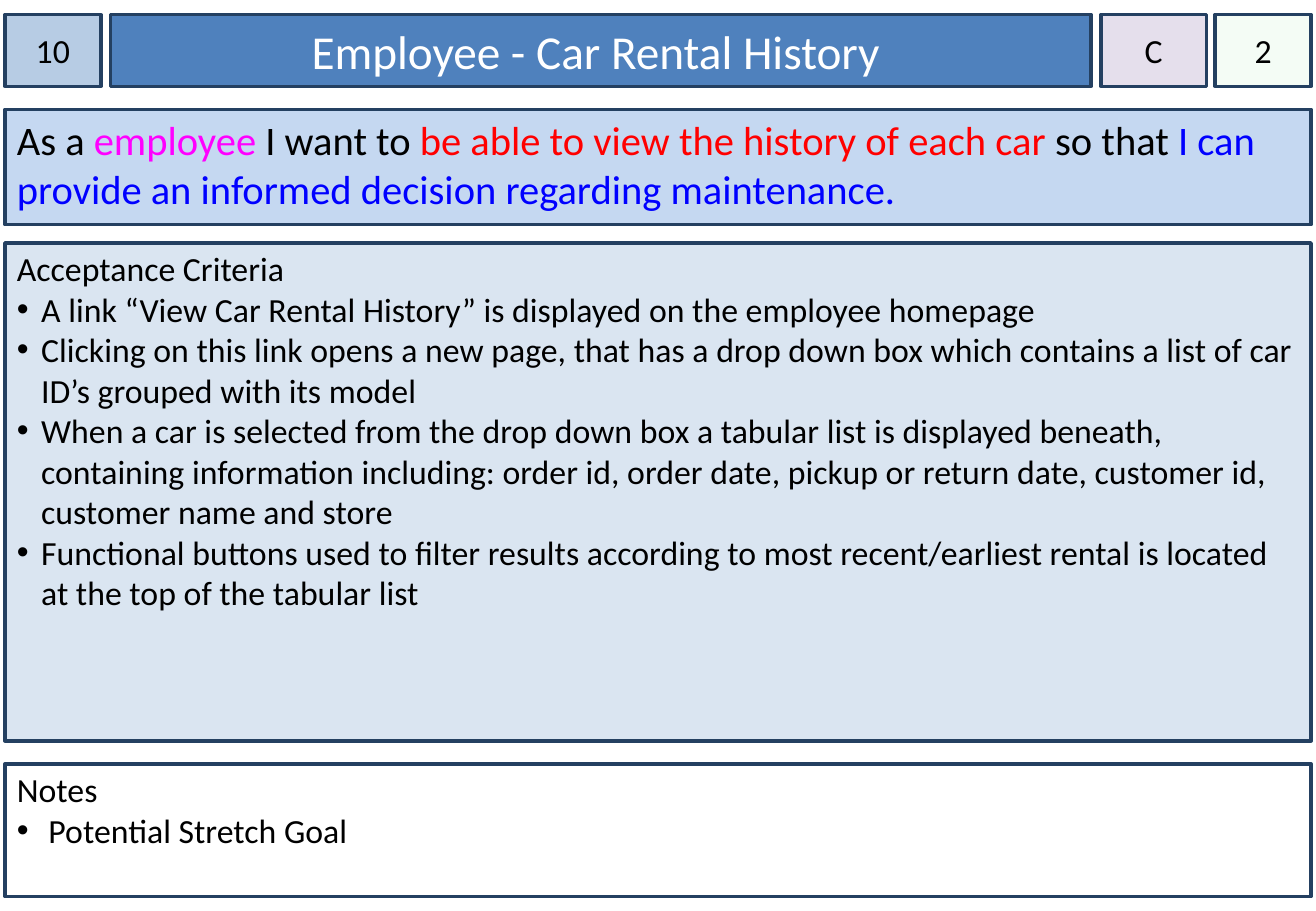
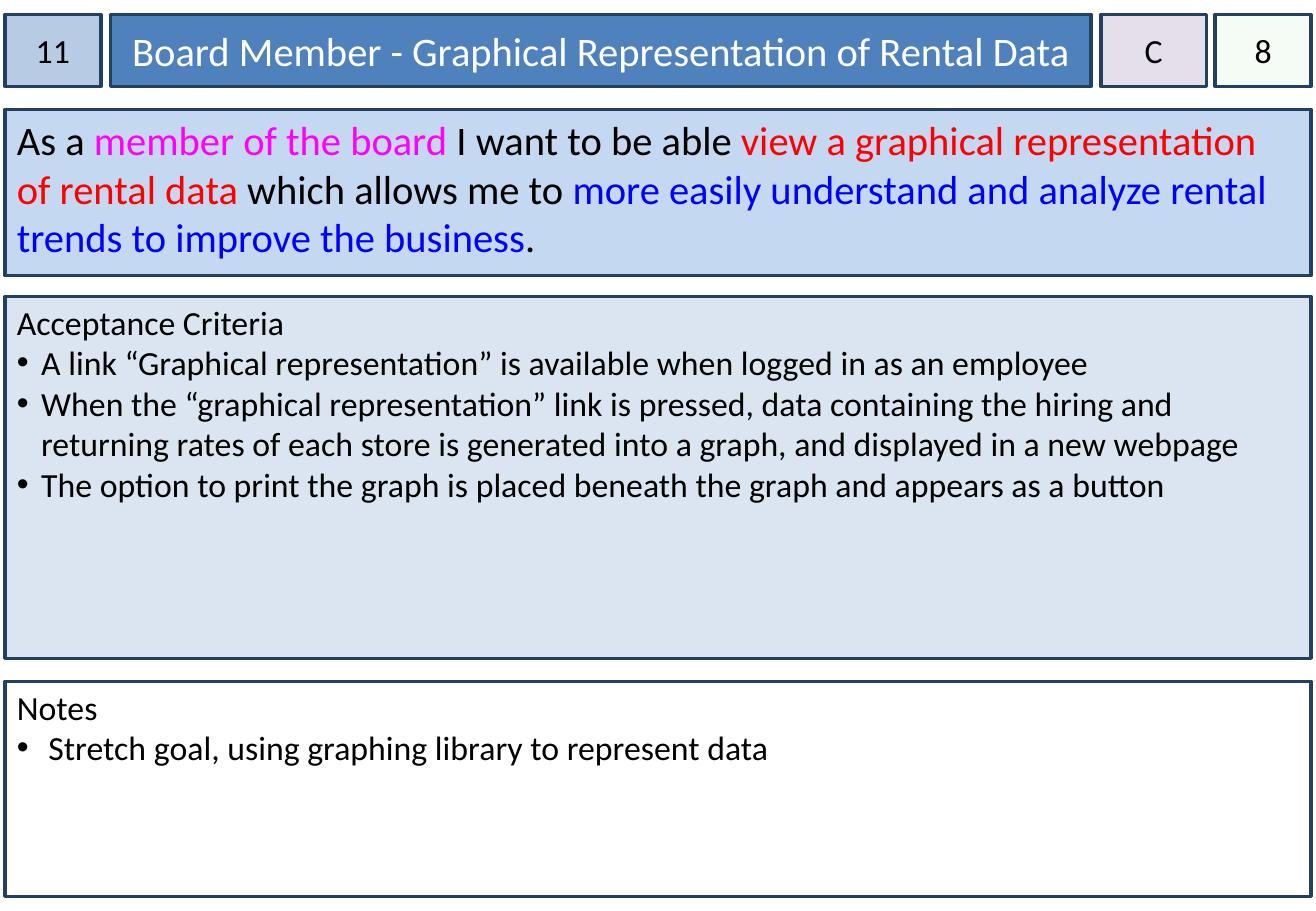
from dataclasses import dataclass
from typing import Any, NamedTuple, Optional

import pptx
import pptx.dml.color
import pptx.enum.shapes
import pptx.enum.text
import pptx.oxml.ns
import pptx.util
from lxml import etree

RGBColor = pptx.dml.color.RGBColor
Anchor = pptx.enum.text.MSO_ANCHOR
Align = pptx.enum.text.PP_ALIGN

# Scale: 100 px to the inch
EMU_PER_PX = 9144
SLIDE_WIDTH, SLIDE_HEIGHT = 1083, 750

# Shared look
FONT = "Calibri"
BLACK = RGBColor(0x00, 0x00, 0x00)
WHITE = RGBColor(0xFF, 0xFF, 0xFF)
BORDER = RGBColor(0x24, 0x40, 0x61)
NUMBER_FILL = RGBColor(0xB7, 0xCC, 0xE4)
TITLE_FILL = RGBColor(0x4F, 0x81, 0xBD)
PRIORITY_FILL = RGBColor(0xE5, 0xDF, 0xEC)
POINTS_FILL = RGBColor(0xCC, 0xF0, 0xCD)
STORY_FILL = RGBColor(0xC5, 0xD8, 0xF1)
CRITERIA_FILL = RGBColor(0xDA, 0xE5, 0xF1)
ROLE = RGBColor(0xFF, 0x00, 0xFF)
WISH = RGBColor(0xFF, 0x00, 0x00)
BENEFIT = RGBColor(0x00, 0x00, 0xFF)
BODY_SIZE, STORY_SIZE = 20, 24
POINTS_OPACITY = 20

# Vertical and horizontal rules of every card
LEFT, RIGHT = 4, 1079
HEADER_TOP, HEADER_HEIGHT = 12, 59
STORY_TOP, CARD_BOTTOM = 90, 738
REMARKS_GAP = 19
CRITERIA_INDENT, REMARKS_INDENT = 20, 26


class Box(NamedTuple):
    left: int
    top: int
    width: int
    height: int


class Phrase(NamedTuple):
    text: str
    color: RGBColor = BLACK


class Line(NamedTuple):
    phrases: list[Phrase]
    size: int = BODY_SIZE
    indent: int = 0
    align: Any = Align.LEFT


@dataclass
class StoryCard:
    number: str
    title: str
    title_size: int
    priority: str
    points: str
    story: list[Phrase]
    criteria: list[str]
    remarks: list[str]
    story_bottom: int
    criteria_top: int
    remarks_top: int


CARDS = [
    StoryCard(
        number="10", title="Employee - Car Rental History ", title_size=28,
        priority="C", points="2",
        story=[
            Phrase("As a "),
            Phrase("employee ", ROLE),
            Phrase("I want to "),
            Phrase("be able to view the history of each car ", WISH),
            Phrase("so that "),
            Phrase("I can provide an informed decision regarding maintenance.", BENEFIT),
        ],
        criteria=[
            "A link “View Car Rental History” is displayed on the employee homepage",
            "Clicking on this link opens a new page, that has a drop down box which "
            "contains a list of car ID’s grouped with its model",
            "When a car is selected from the drop down box a tabular list is displayed "
            "beneath, containing information including: order id, order date, pickup or "
            "return date, customer id, customer name and store",
            "Functional buttons used to filter results according to most "
            "recent/earliest rental is located at the top of the tabular list",
        ],
        remarks=["Potential Stretch Goal"],
        story_bottom=185, criteria_top=200, remarks_top=629,
    ),
    StoryCard(
        number="11", title="Board Member - Graphical Representation of Rental Data",
        title_size=24, priority="C", points="8",
        story=[
            Phrase("As a "),
            Phrase("member of the board ", ROLE),
            Phrase("I want to be able "),
            Phrase("view a graphical representation of rental data ", WISH),
            Phrase("which allows me to "),
            Phrase("more easily understand and analyze rental trends to improve the "
                   "business", BENEFIT),
            Phrase("."),
        ],
        criteria=[
            "A link “Graphical representation” is available when logged in as an employee",
            "When the “graphical representation” link is pressed, data containing the "
            "hiring and returning rates of each store is generated into a graph, and "
            "displayed in a new webpage",
            "The option to print the graph is placed beneath the graph and appears as a "
            "button",
        ],
        remarks=["Stretch goal, using graphing library to represent data"],
        story_bottom=227, criteria_top=244, remarks_top=561,
    ),
]


def px(length: int) -> pptx.util.Emu:
    return pptx.util.Emu(length * EMU_PER_PX)


def apply(target: Any, formats: dict[str, Any]) -> None:
    for attribute, value in formats.items():
        setattr(target, attribute, value)


def add_bullet(paragraph: Any, indent: int) -> None:
    properties = paragraph._p.get_or_add_pPr()
    properties.set("marL", str(px(indent)))
    properties.set("indent", str(px(-indent)))
    for tag, attribute, value in (("a:buFont", "typeface", "Arial"),
                                  ("a:buChar", "char", "•")):
        etree.SubElement(properties, pptx.oxml.ns.qn(tag)).set(attribute, value)


def write_lines(frame: Any, lines: list[Line]) -> None:
    for index, line in enumerate(lines):
        paragraph = frame.add_paragraph() if index else frame.paragraphs[0]
        paragraph.alignment = line.align
        if line.indent:
            add_bullet(paragraph, line.indent)
        for phrase in line.phrases:
            run = paragraph.add_run()
            run.text = phrase.text
            apply(run.font, {"name": FONT, "size": pptx.util.Pt(line.size)})
            run.font.color.rgb = phrase.color


def format_panel(panel: Any, box: Box, fill: RGBColor, lines: list[Line],
                 anchor: Any = Anchor.TOP, side: int = 10, top: int = 5) -> None:
    apply(panel, {edge: px(length) for edge, length in zip(Box._fields, box)})
    panel.fill.solid()
    panel.fill.fore_color.rgb = fill
    panel.line.color.rgb = BORDER
    panel.line.width = pptx.util.Pt(2)
    apply(panel.text_frame, {
        "word_wrap": True,
        "auto_size": pptx.enum.text.MSO_AUTO_SIZE.NONE,
        "vertical_anchor": anchor,
        "margin_left": px(side), "margin_right": px(side),
        "margin_top": px(top), "margin_bottom": px(5),
    })
    write_lines(panel.text_frame, lines)


def add_panel(slide: Any, box: Box, fill: RGBColor, lines: list[Line],
              **layout: Any) -> Any:
    panel = slide.shapes.add_shape(
        pptx.enum.shapes.MSO_SHAPE.RECTANGLE, *(px(length) for length in box))
    panel.shadow.inherit = False
    format_panel(panel, box, fill, lines, **layout)
    return panel


def add_header_cell(slide: Any, left: int, width: int, fill: RGBColor, text: str,
                    opacity: Optional[int] = None) -> None:
    cell = add_panel(slide, Box(left, HEADER_TOP, width, HEADER_HEIGHT), fill,
                     [Line([Phrase(text)], align=Align.CENTER)],
                     anchor=Anchor.MIDDLE, side=0)
    if opacity is not None:
        color = cell._element.spPr.find(
            f"{pptx.oxml.ns.qn('a:solidFill')}/{pptx.oxml.ns.qn('a:srgbClr')}")
        etree.SubElement(color, pptx.oxml.ns.qn("a:alpha")).set("val", str(opacity * 1000))


def add_band(slide: Any, top: int, bottom: int, fill: RGBColor, lines: list[Line],
             inset: int) -> None:
    add_panel(slide, Box(LEFT, top, RIGHT - LEFT, bottom - top), fill, lines, top=inset)


def headed_list(heading: str, items: list[str], indent: int) -> list[Line]:
    return [Line([Phrase(heading)])] + [
        Line([Phrase(item)], indent=indent) for item in items]


def add_card(presentation: Any, card: StoryCard) -> None:
    slide = presentation.slides.add_slide(presentation.slide_layouts[5])

    # Header row
    format_panel(slide.shapes.title, Box(91, HEADER_TOP, 807, HEADER_HEIGHT), TITLE_FILL,
                 [Line([Phrase(card.title, WHITE)], card.title_size, align=Align.CENTER)],
                 anchor=Anchor.MIDDLE)
    add_header_cell(slide, LEFT, 79, NUMBER_FILL, card.number)
    add_header_cell(slide, 906, 87, PRIORITY_FILL, card.priority)
    add_header_cell(slide, 1000, 79, POINTS_FILL, card.points, POINTS_OPACITY)

    # Story, criteria and remarks
    add_band(slide, STORY_TOP, card.story_bottom, STORY_FILL,
             [Line(card.story, STORY_SIZE)], inset=5)
    add_band(slide, card.criteria_top, card.remarks_top - REMARKS_GAP, CRITERIA_FILL,
             headed_list("Acceptance Criteria", card.criteria, CRITERIA_INDENT), inset=4)
    add_band(slide, card.remarks_top, CARD_BOTTOM, WHITE,
             headed_list("Notes", card.remarks, REMARKS_INDENT), inset=4)


def main() -> None:
    presentation = pptx.Presentation()
    apply(presentation, {"slide_width": px(SLIDE_WIDTH), "slide_height": px(SLIDE_HEIGHT)})
    for card in CARDS:
        add_card(presentation, card)
    presentation.save("out.pptx")


if __name__ == "__main__":
    main()
